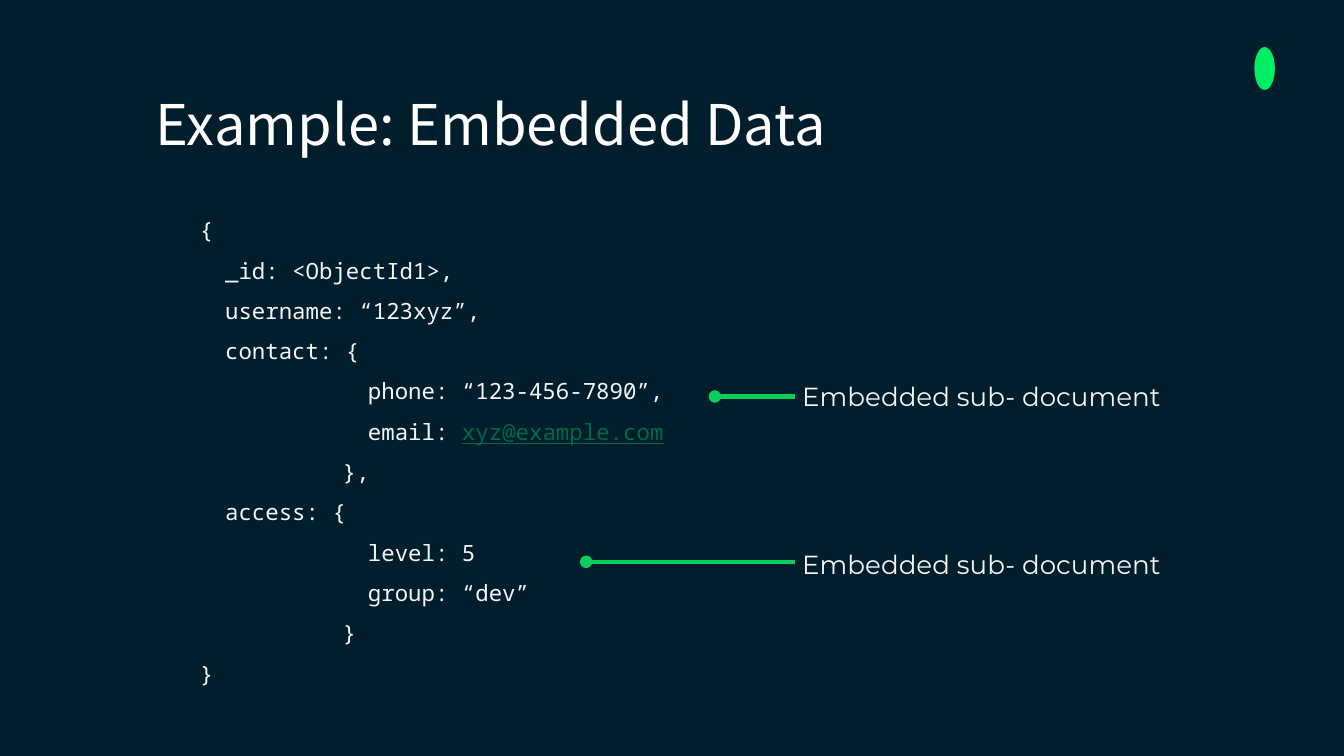
from dataclasses import dataclass

from lxml import etree
from pptx import Presentation
from pptx.dml.color import RGBColor
from pptx.enum.shapes import MSO_CONNECTOR, MSO_SHAPE
from pptx.enum.text import MSO_ANCHOR, MSO_AUTO_SIZE, PP_ALIGN
from pptx.oxml.ns import qn
from pptx.util import Pt

STRAIGHT = MSO_CONNECTOR.STRAIGHT
OVAL = MSO_SHAPE.OVAL
MIDDLE = MSO_ANCHOR.MIDDLE
NO_FIT = MSO_AUTO_SIZE.NONE
LEFT = PP_ALIGN.LEFT
TITLE_ONLY = 5


@dataclass(frozen=True)
class Theme:
    """Colours, fonts and type sizes of the deck."""
    background: str = "001E2B"
    heading: str = "FFFFFF"
    text: str = "F5F6F7"
    address: str = "00684A"
    pointer: str = "0AD05B"
    emblem: str = "00ED64"
    title_font: str = "Noto Sans CJK JP"
    code_font: str = "Noto Sans Mono"
    label_font: str = "Montserrat"
    title_size: float = 30
    code_size: float = 12
    label_size: float = 14
    pointer_width: float = 2.25


THEME = Theme()
FIELD, BRACE, NESTED = 13.5, 76.5, 90
DOCUMENT = [
    (0, "{"),
    (FIELD, "_id: <ObjectId1>,"),
    (FIELD, "username: “123xyz”,"),
    (FIELD, "contact: {"),
    (NESTED, "phone: “123-456-7890”,"),
    (NESTED, "email: ", "xyz@example.com"),
    (BRACE, "},"),
    (FIELD, "access: {"),
    (NESTED, "level: 5"),
    (NESTED, "group: “dev”"),
    (BRACE, "}"),
    (0, "}"),
]
POINTER_END = 426
CALLOUTS = [(383, 212.4, 196.5), (314, 301, 286.5)]


def add_run(paragraph, text, font, size, colour):
    """Append one styled run and return it."""
    run = paragraph.add_run()
    run.text = text
    run.font.name = font
    run.font.size = Pt(size)
    run.font.color.rgb = RGBColor.from_string(colour)
    return run


def add_frame(slide, box):
    """Add a wrapping text box with even insets and return its frame."""
    frame = slide.shapes.add_textbox(*map(Pt, box)).text_frame
    frame.word_wrap = True
    frame.margin_left = frame.margin_right = Pt(7.2)
    frame.margin_top = frame.margin_bottom = Pt(7.2)
    return frame


def place_title(slide, box, text):
    """Move the title placeholder into the box and fill it."""
    title = slide.shapes.title
    title.left, title.top, title.width, title.height = map(Pt, box)
    frame = title.text_frame
    frame.margin_left = frame.margin_right = 0
    frame.margin_top = frame.margin_bottom = 0
    frame.vertical_anchor = MIDDLE
    frame.auto_size = NO_FIT
    heading = frame.paragraphs[0]
    heading.alignment = LEFT
    add_run(heading, text, THEME.title_font, THEME.title_size, THEME.heading)


def place_code(slide, box, lines):
    """Set the document listing, one indented paragraph a line."""
    frame = add_frame(slide, box)
    for number, (indent, code, *address) in enumerate(lines):
        line = frame.add_paragraph() if number else frame.paragraphs[0]
        line.line_spacing = 1.5
        properties = line._p.get_or_add_pPr()
        properties.set("marL", str(Pt(indent)))
        properties.set("indent", "0")
        add_run(line, code, THEME.code_font, THEME.code_size, THEME.text)
        for part in address:
            email = add_run(line, part, THEME.code_font, THEME.code_size, THEME.address)
            email.font.underline = True


def place_pointer(slide, start, end, level):
    """Draw a level line that begins with a dot."""
    pointer = slide.shapes.add_connector(STRAIGHT, Pt(start), Pt(level), Pt(end), Pt(level))
    pointer.line.color.rgb = RGBColor.from_string(THEME.pointer)
    pointer.line.width = Pt(THEME.pointer_width)
    etree.SubElement(pointer.line._get_or_add_ln(), qn("a:headEnd"), type="oval")
    etree.SubElement(pointer._element.spPr, qn("a:effectLst"))


def place_label(slide, box, text):
    """Write the label of a pointer."""
    label = add_frame(slide, box).paragraphs[0]
    add_run(label, text, THEME.label_font, THEME.label_size, THEME.text)


def place_emblem(slide, box):
    """Put a plain oval in the corner."""
    emblem = slide.shapes.add_shape(OVAL, *map(Pt, box))
    emblem.shadow.inherit = False
    emblem.fill.solid()
    emblem.fill.fore_color.rgb = RGBColor.from_string(THEME.emblem)
    emblem.line.fill.background()


def main():
    """Build and save the slide."""
    deck = Presentation()
    deck.slide_width, deck.slide_height = Pt(720), Pt(405)
    slide = deck.slides.add_slide(deck.slide_layouts[TITLE_ONLY])
    slide.background.fill.solid()
    slide.background.fill.fore_color.rgb = RGBColor.from_string(THEME.background)
    place_emblem(slide, (672, 25.2, 11, 23))
    place_title(slide, (83.5, 48.2, 552, 36), "Example: Embedded Data")
    place_code(slide, (100, 101.5, 294.5, 269.3), DOCUMENT)
    for start, level, label_top in CALLOUTS:
        place_pointer(slide, start, POINTER_END, level)
        place_label(slide, (422.7, label_top, 236, 31.7), "Embedded sub- document")
    deck.save("out.pptx")


if __name__ == "__main__":
    main()
